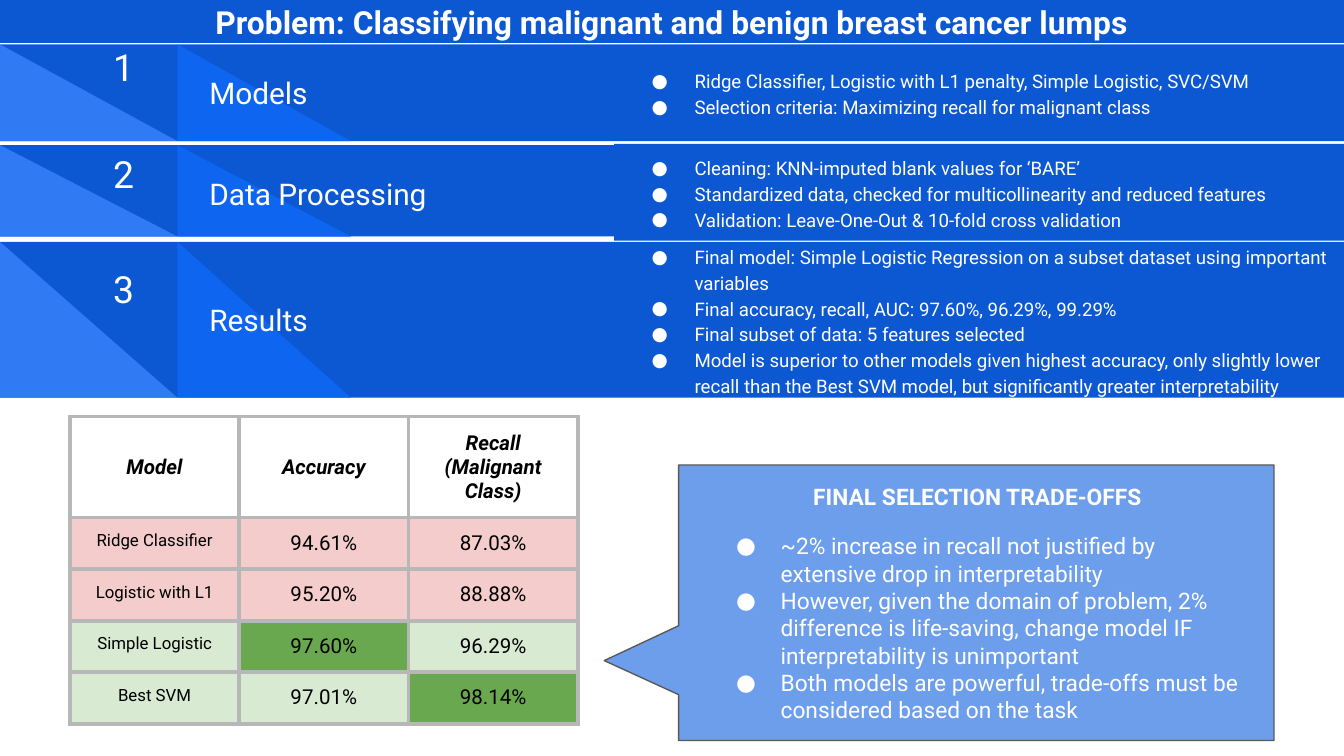
from dataclasses import dataclass

from lxml import etree
from pptx import Presentation
from pptx.dml.color import RGBColor
from pptx.enum.shapes import MSO_SHAPE
from pptx.enum.text import MSO_ANCHOR, PP_ALIGN
from pptx.oxml.ns import qn
from pptx.util import Inches, Pt

RECTANGLE = MSO_SHAPE.RECTANGLE
TRIANGLE = MSO_SHAPE.RIGHT_TRIANGLE
CALLOUT = MSO_SHAPE.ROUNDED_RECTANGULAR_CALLOUT
TOP, MIDDLE, BOTTOM = MSO_ANCHOR.TOP, MSO_ANCHOR.MIDDLE, MSO_ANCHOR.BOTTOM
LEFT, CENTER = PP_ALIGN.LEFT, PP_ALIGN.CENTER


@dataclass(frozen=True)
class Theme:
    """Colours, type sizes and font of the slide."""
    font: str = "Roboto"
    white: str = "FFFFFF"
    black: str = "000000"
    blue: str = "0C58D3"
    mid_blue: str = "0E65F0"
    light_blue: str = "307BF3"
    callout: str = "6D9EEB"
    outline: str = "595959"
    grid: str = "B7B7B7"
    rejected: str = "F4CCCC"
    kept: str = "D9EAD3"
    best: str = "6AA84F"
    title: float = 17
    number: float = 20
    label: float = 16
    detail: float = 10
    tradeoff: float = 12.2
    cell: float = 11
    model: float = 9


THEME = Theme()

SECTIONS = [
    dict(name="Models", top=0.33, height=0.72, detail_top=0.33, detail_height=0.72,
         number_height=0.43, number_anchor=BOTTOM, details=[
             "Ridge Classifier, Logistic with L1 penalty, Simple Logistic, SVC/SVM",
             "Selection criteria: Maximizing recall for malignant class"]),
    dict(name="Data Processing", top=1.08, height=0.68, detail_top=1.07, detail_height=0.72,
         number_height=0.43, number_anchor=MIDDLE, details=[
             "Cleaning: KNN-imputed blank values for ‘BARE’",
             "Standardized data, checked for multicollinearity and reduced features",
             "Validation: Leave-One-Out & 10-fold cross validation"]),
    dict(name="Results", top=1.8, height=1.16, detail_top=1.8, detail_height=1.16,
         number_height=0.7, number_anchor=MIDDLE, details=[
             "Final model: Simple Logistic Regression on a subset dataset using important variables",
             "Final accuracy, recall, AUC: 97.60%, 96.29%, 99.29%",
             "Final subset of data: 5 features selected",
             "Model is superior to other models given highest accuracy, only slightly lower recall "
             "than the Best SVM model, but significantly greater interpretability"]),
]

SCORES = [
    ("Model", "Accuracy", "Recall (Malignant Class)"),
    ("Ridge Classifier", "94.61%", "87.03%"),
    ("Logistic with L1", "95.20%", "88.88%"),
    ("Simple Logistic", "97.60%", "96.29%"),
    ("Best SVM", "97.01%", "98.14%"),
]
ROW_FILLS = [THEME.white, THEME.rejected, THEME.rejected, THEME.kept, THEME.kept]
BEST_SCORES = {(3, 1), (4, 2)}

TRADEOFFS = [
    "~2% increase in recall not justified by extensive drop in interpretability",
    "However, given the domain of problem, 2% difference is life-saving, "
    "change model IF interpretability is unimportant",
    "Both models are powerful, trade-offs must be considered based on the task",
]


def add_panel(shapes, kind, box, color):
    """Add a filled shape without outline or shadow."""
    panel = shapes.add_shape(kind, *map(Inches, box))
    panel.shadow.inherit = False
    panel.fill.solid()
    panel.fill.fore_color.rgb = RGBColor.from_string(color)
    panel.line.fill.background()
    return panel


def prepare_frame(frame, anchor):
    """Wrap a text frame, anchor it and give it equal insets."""
    frame.word_wrap = True
    frame.vertical_anchor = anchor
    frame.margin_left = frame.margin_right = Inches(0.1)
    frame.margin_top = frame.margin_bottom = Inches(0.1)
    return frame


def write(paragraph, text, size, color=THEME.white, align=LEFT, bold=False, italic=False):
    """Fill a paragraph with text in one style."""
    paragraph.text = text
    paragraph.alignment = align
    font = paragraph.font
    font.name, font.size = THEME.font, Pt(size)
    font.bold, font.italic = bold, italic
    font.color.rgb = RGBColor.from_string(color)


def add_label(shapes, box, text, size, align=LEFT, anchor=MIDDLE):
    """Add a text box holding one paragraph."""
    label = shapes.add_textbox(*map(Inches, box))
    write(prepare_frame(label.text_frame, anchor).paragraphs[0], text, size, align=align)


def write_bullet(paragraph, text, size, hanging):
    """Write a paragraph with a white round bullet and hanging indent."""
    properties = paragraph._p.get_or_add_pPr()
    properties.set("marL", str(Inches(0.5)))
    properties.set("indent", str(-Inches(hanging)))
    color = etree.SubElement(properties, qn("a:buClr"))
    etree.SubElement(color, qn("a:srgbClr"), val=THEME.white)
    etree.SubElement(properties, qn("a:buFont"), typeface=THEME.font)
    etree.SubElement(properties, qn("a:buChar"), char="●")
    write(paragraph, text, size)


def add_title(shapes):
    """Add the banner across the top."""
    banner = add_panel(shapes, RECTANGLE, (0, 0, 10, 0.32), THEME.blue)
    frame = prepare_frame(banner.text_frame, MIDDLE)
    write(frame.paragraphs[0], "Problem: Classifying malignant and benign breast cancer lumps",
          THEME.title, align=CENTER, bold=True)


def add_section(shapes, number, section):
    """Add one numbered band with its bulleted details."""
    band = shapes.add_group_shape().shapes
    top, height = section["top"], section["height"]
    detail_height = section["detail_height"]
    details = add_panel(band, RECTANGLE, (4.57, section["detail_top"], 5.43, detail_height),
                        THEME.blue)
    frame = prepare_frame(details.text_frame, MIDDLE)
    for index, text in enumerate(section["details"]):
        paragraph = frame.add_paragraph() if index else frame.paragraphs[0]
        write_bullet(paragraph, text, THEME.detail, 0.32)
        paragraph.line_spacing = 1.15
    add_panel(band, RECTANGLE, (0, top, 4.57, height), THEME.blue)
    add_panel(band, TRIANGLE, (1.32, top, 1.29, height), THEME.mid_blue)
    add_panel(band, TRIANGLE, (0, top, 1.32, height), THEME.light_blue)
    add_label(band, (0.51, top, 0.82, section["number_height"]), str(number), THEME.number,
              CENTER, section["number_anchor"])
    add_label(band, (1.46, top, 2.86, detail_height), section["name"], THEME.label)


def add_borders(cell):
    """Draw the grid line on all four sides of a cell."""
    properties = cell._tc.get_or_add_tcPr()
    for side in ("a:lnL", "a:lnR", "a:lnT", "a:lnB"):
        border = etree.SubElement(properties, qn(side), w=str(Pt(2.25)))
        fill = etree.SubElement(border, qn("a:solidFill"))
        etree.SubElement(fill, qn("a:srgbClr"), val=THEME.grid)


def add_scores(shapes):
    """Add the table of accuracy and recall by model."""
    scores = shapes.add_table(len(SCORES), len(SCORES[0]), Inches(0.52), Inches(3.1),
                              Inches(3.78), Inches(2.28)).table
    for column in scores.columns:
        column.width = Inches(1.26)
    for r, values in enumerate(SCORES):
        header = r == 0
        scores.rows[r].height = Inches(0.55 if header else 0.37)
        for c, value in enumerate(values):
            cell = scores.cell(r, c)
            add_borders(cell)
            cell.fill.solid()
            fill = THEME.best if (r, c) in BEST_SCORES else ROW_FILLS[r]
            cell.fill.fore_color.rgb = RGBColor.from_string(fill)
            cell.vertical_anchor = MIDDLE if header else TOP
            cell.margin_left = cell.margin_right = Inches(0.1)
            cell.margin_top = cell.margin_bottom = Inches(0.1)
            size = THEME.model if c == 0 and not header else THEME.cell
            write(cell.text_frame.paragraphs[0], value, size, THEME.black, CENTER,
                  bold=header, italic=header)


def add_tradeoffs(shapes):
    """Add the callout that points at the table, with its text."""
    callout = add_panel(shapes, CALLOUT, (6.24, 2.27, 2.05, 4.43), THEME.callout)
    callout.rotation = 90
    callout._element.spPr.get_or_add_xfrm().set("flipH", "1")
    for index, value in enumerate((-0.21, 0.625, 0)):
        callout.adjustments[index] = value
    callout.line.color.rgb = RGBColor.from_string(THEME.outline)
    callout.line.width = Pt(0.75)

    reasons = shapes.add_textbox(Inches(5.21), Inches(3.53), Inches(4.13), Inches(1.91))
    frame = prepare_frame(reasons.text_frame, TOP)
    heading = frame.paragraphs[0]
    write(heading, "FINAL SELECTION TRADE-OFFS", THEME.tradeoff, align=CENTER, bold=True)
    heading.line_spacing = 0.8
    heading.space_after = Pt(12)
    for text in TRADEOFFS:
        write_bullet(frame.add_paragraph(), text, THEME.tradeoff, 0.33)


def main():
    """Build the slide and save it."""
    deck = Presentation()
    deck.slide_width, deck.slide_height = Inches(10), Inches(10 * 9 / 16)
    shapes = deck.slides.add_slide(deck.slide_layouts[6]).shapes
    add_title(shapes)
    for number, section in enumerate(SECTIONS, start=1):
        add_section(shapes, number, section)
    add_scores(shapes)
    add_tradeoffs(shapes)
    deck.save("out.pptx")


if __name__ == "__main__":
    main()
